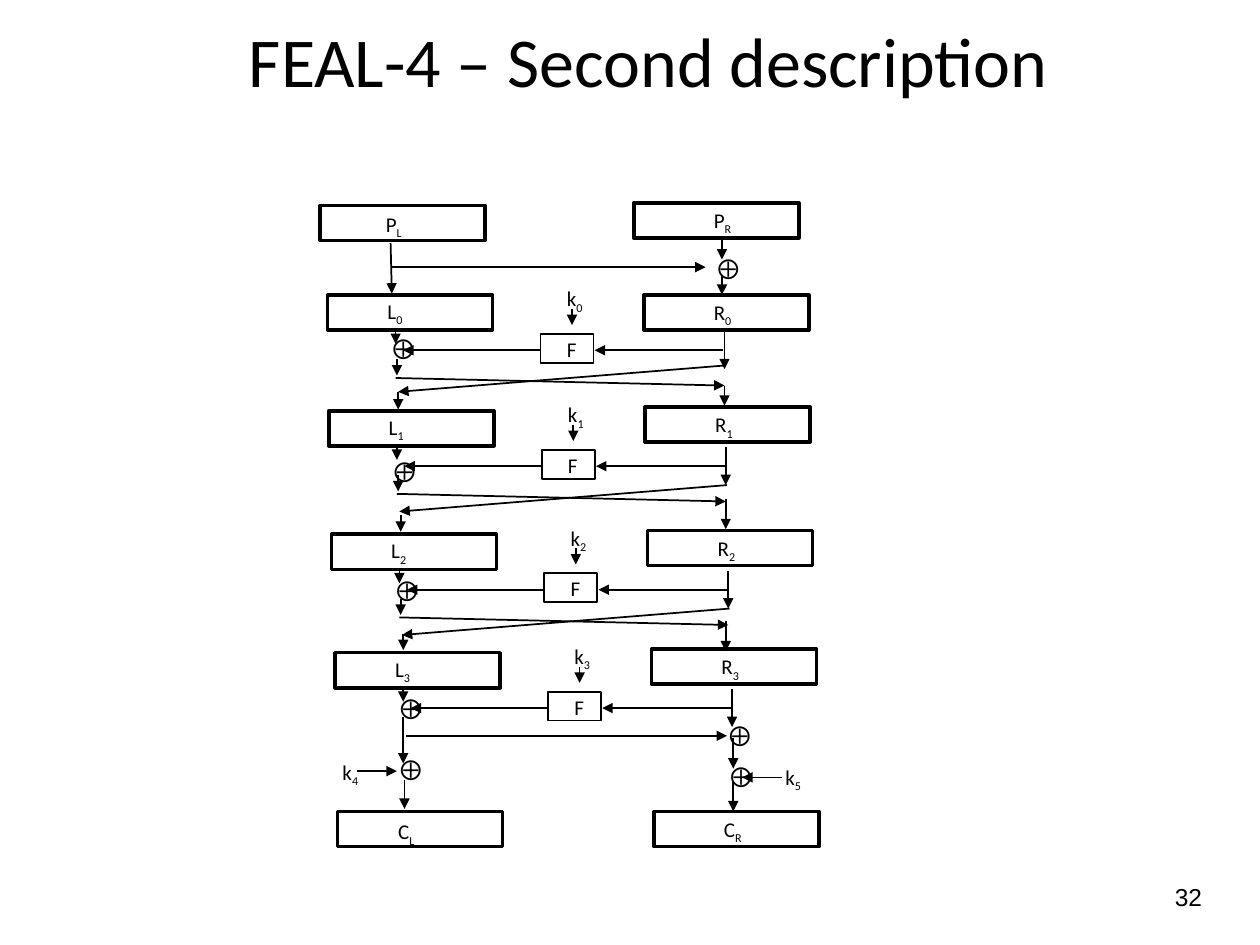
from pptx import Presentation
from pptx.dml.color import RGBColor
from pptx.enum.shapes import MSO_CONNECTOR, MSO_SHAPE
from pptx.enum.text import MSO_ANCHOR, MSO_AUTO_SIZE, PP_ALIGN
from pptx.oxml.ns import qn
from pptx.util import Inches, Pt
from lxml.etree import SubElement

INK = "000000"
TITLE = "FEAL-4 – Second description"
PAGE = "32"
XOR = "⨁"
WIDE, TALL = 1.31, 0.28      # register box
HIGH = 0.3                   # label height

# Offset of each round from round 0: x, y, lift of the right register, drop of the XOR
ROUNDS = [(0, 0, 0, 0), (0.01, 0.92, 0.03, 0.05),
          (0.03, 1.9, 0.03, 0.02), (0.06, 2.84, 0.03, 0.01)]

# Arrows of every round, at round 0
STEPS = [((5.74, 2.78), (4.72, 2.78)), ((4.29, 2.78), (3.2, 2.78)),
         ((4.54, 2.45), (4.54, 2.58)), ((5.75, 2.63), (5.75, 2.93)),
         ((3.14, 2.61), (3.14, 2.73))]

# Arrows that swap the halves between two rounds, at round 0
SWAPS = [((3.14, 3), (5.75, 3.06)), ((3.15, 2.85), (3.15, 2.98))]
CROSS = ((5.76, 2.9), (3.16, 3.11))

# Arrows into the next left and right register: x, top, bottom
ENTRY = [(3.16, 3.11, 3.25), (3.18, 4.09, 4.22), (3.2, 5.03, 5.16),
         (5.75, 3.06, 3.22), (5.76, 3.96, 4.2), (5.76, 4.93, 5.17)]

# Arrows before the first round and after the last
ENDS = [((3.1, 2.12), (5.6, 2.12)), ((5.73, 1.9), (5.73, 2.06)),
        ((3.1, 1.93), (3.11, 2.33)), ((5.73, 2.18), (5.73, 2.34)),
        ((3.2, 5.69), (3.2, 6.06)), ((3.22, 5.84), (5.77, 5.84)),
        ((5.82, 5.86), (5.82, 6.1)), ((5.82, 6.21), (5.82, 6.44)),
        ((3.21, 6.19), (3.21, 6.42)), ((2.83, 6.12), (3.15, 6.12)),
        ((6.21, 6.17), (5.89, 6.17))]

# Plain and cipher text registers: letter, index, box corner, label corner
PORTS = [("P", "L", (2.54, 1.63), (2.95, 1.63)), ("P", "R", (5.03, 1.61), (5.56, 1.6)),
         ("C", "L", (2.68, 6.44), (3.05, 6.45)), ("C", "R", (5.19, 6.44), (5.64, 6.43))]
XORS = [(5.6, 1.97), (5.69, 5.68), (5.7, 6), (3.08, 5.95)]
KEYS = [("4", 2.59, 5.98, 0.38), ("5", 6.05, 6.02, 0.49)]

deck = Presentation()
deck.slide_width, deck.slide_height = Inches(10), Inches(7.5)
slide = deck.slides.add_slide(deck.slide_layouts[6])
shapes = slide.shapes


def tint(code):
    return RGBColor.from_string(code)


def assign(item, form):
    for name, value in form.items():
        setattr(item, name, value)


def write(text, x, y, w, h=HIGH, sub="", size=12, face="Calibri",
          align=PP_ALIGN.CENTER, **form):
    """Add a text box, with an optional subscript after the text."""
    frame = shapes.add_textbox(*map(Inches, (x, y, w, h))).text_frame
    assign(frame, {"word_wrap": True, **form})
    para = frame.paragraphs[0]
    para.alignment = align
    for part in filter(None, (text, sub)):
        run = para.add_run()
        run.text = part
        assign(run.font, {"size": Pt(size), "name": face})
        run.font.color.rgb = tint(INK)
        if part is sub:
            run._r.get_or_add_rPr().set("baseline", "-25000")


def label(text, x, y, w, sub="", wrap=True):
    write(text, x, y, w, sub=sub, word_wrap=wrap,
          auto_size=MSO_AUTO_SIZE.SHAPE_TO_FIT_TEXT)


def box(x, y, w=WIDE, h=TALL, line=2):
    rect = shapes.add_shape(MSO_SHAPE.RECTANGLE, *map(Inches, (x, y, w, h)))
    rect.shadow.inherit = False
    rect.fill.background()
    rect.line.color.rgb = tint(INK)
    rect.line.width = Pt(line)


def arrow(start, end, dx=0, dy=0):
    ends = (start[0] + dx, start[1] + dy, end[0] + dx, end[1] + dy)
    link = shapes.add_connector(MSO_CONNECTOR.STRAIGHT, *map(Inches, ends))
    link.line.color.rgb = tint(INK)
    link.line.width = Pt(1)
    SubElement(link.line._get_or_add_ln(), qn("a:tailEnd"), type="triangle")
    SubElement(link._element.spPr, qn("a:effectLst"))


write(TITLE, 0.69, 0.08, 8.91, 0.79, size=40, vertical_anchor=MSO_ANCHOR.MIDDLE)
write(PAGE, 8.08, 6.95, 1.56, 0.38, size=14, face="Arial", align=PP_ALIGN.RIGHT)

for num, (dx, dy, lift, drop) in enumerate(ROUNDS):
    sub = str(num)
    box(2.6 + dx, 2.34 + dy)
    box(5.11 + dx, 2.34 + dy - lift)
    box(4.29 + dx, 2.65 + dy, 0.42, 0.23, 1)
    label("L", 2.97 + dx, 2.32 + dy, 0.33, sub, False)
    label("R", 5.56 + dx, 2.33 + dy - lift, 0.35, sub, False)
    label("k", 4.37 + dx, 2.22 + dy, 0.38, sub)
    label("F", 4.4 + dx, 2.62 + dy, 0.26)
    label(XOR, 3.02 + dx, 2.61 + dy + drop, 0.26)
    for start, end in STEPS:
        arrow(start, end, dx, dy)
    if num < len(ROUNDS) - 1:
        for start, end in SWAPS:
            arrow(start, end, dx, dy)
        arrow(*CROSS, dx, dy + lift)

for x, top, low in ENTRY:
    arrow((x, top), (x, low))
for start, end in ENDS:
    arrow(start, end)
for text, sub, spot, mark in PORTS:
    box(*spot)
    label(text, *mark, 0.35, sub, False)
for x, y in XORS:
    label(XOR, x, y, 0.26)
for sub, x, y, w in KEYS:
    label("k", x, y, w, sub)

deck.save("out.pptx")
